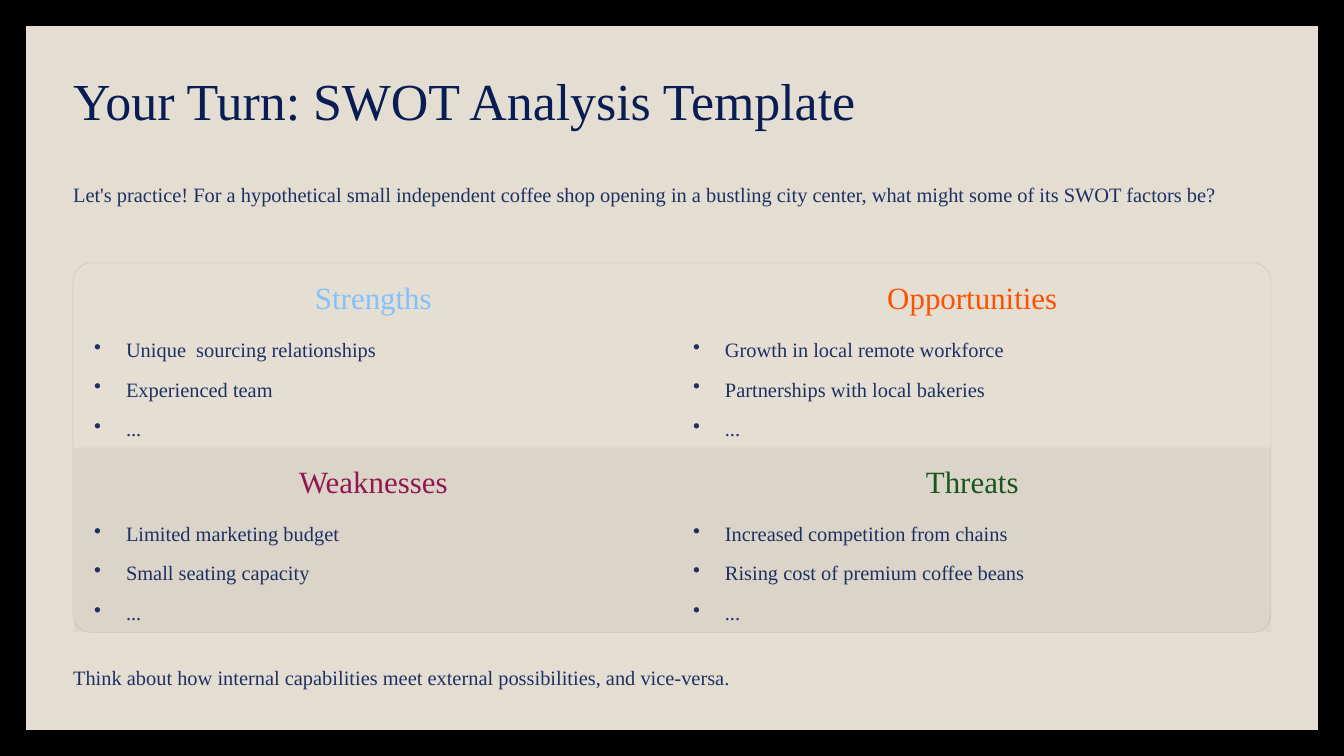
from lxml import etree
from pptx import Presentation
from pptx.dml.color import RGBColor
from pptx.enum import shapes, text
from pptx.oxml import ns
from pptx.util import Inches, Pt

FONT = "Times New Roman"
BLACK = RGBColor(0x00, 0x00, 0x00)
WHITE = RGBColor(0xFF, 0xFF, 0xFF)
CREAM = RGBColor(0xE3, 0xDE, 0xD1)
TITLE_NAVY = RGBColor(0x09, 0x1C, 0x53)
BODY_NAVY = RGBColor(0x1E, 0x30, 0x63)
SKY = RGBColor(0x84, 0xC1, 0xFA)
ORANGE = RGBColor(0xFF, 0x50, 0x00)
PLUM = RGBColor(0x92, 0x16, 0x53)
GREEN = RGBColor(0x1A, 0x56, 0x1C)

MARGIN, CONTENT_WIDTH = 0.87, 14.26
GRID_LEFT, GRID_TOP = 0.88, 3.14
COLUMN_WIDTH, ROW_HEIGHT = 7.13, 2.19
HEADING_WIDTH = 3.72

BANDS = [WHITE, BLACK]
# row, column, heading, heading colour, points
QUADRANTS = [
    (0, 0, "Strengths", SKY,
     ["Unique  sourcing relationships", "Experienced team", "..."]),
    (0, 1, "Opportunities", ORANGE,
     ["Growth in local remote workforce", "Partnerships with local bakeries", "..."]),
    (1, 0, "Weaknesses", PLUM,
     ["Limited marketing budget", "Small seating capacity", "..."]),
    (1, 1, "Threats", GREEN,
     ["Increased competition from chains", "Rising cost of premium coffee beans", "..."]),
]


def set_alpha(color_format_parent, percent):
    """Make the solid colour found under an XML element partly transparent."""
    color = color_format_parent.find(".//" + ns.qn("a:srgbClr"))
    etree.SubElement(color, ns.qn("a:alpha")).set("val", str(percent * 1000))


def add_box(slide, kind, left, top, width, height, fill=None):
    shape = slide.shapes.add_shape(
        kind, Inches(left), Inches(top), Inches(width), Inches(height))
    shape.shadow.inherit = False
    shape.line.fill.background()
    if fill is None:
        shape.fill.background()
    else:
        shape.fill.solid()
        shape.fill.fore_color.rgb = fill
    return shape


def add_bullet(paragraph):
    properties = paragraph._p.get_or_add_pPr()
    properties.set("marL", str(Inches(0.38)))
    properties.set("indent", str(-Inches(0.38)))
    etree.SubElement(properties, ns.qn("a:buChar")).set("char", "•")


def write_lines(shape, lines, size, color, spacing, bullets=False,
                align=text.PP_ALIGN.LEFT):
    frame = shape.text_frame
    frame.margin_left = frame.margin_right = 0
    frame.margin_top = frame.margin_bottom = 0
    frame.word_wrap = True
    frame.auto_size = text.MSO_AUTO_SIZE.NONE
    frame.vertical_anchor = text.MSO_ANCHOR.TOP
    frame.text = "\n".join(lines)
    for index, paragraph in enumerate(frame.paragraphs):
        if bullets:
            add_bullet(paragraph)
        paragraph.alignment = align
        paragraph.line_spacing = Pt(spacing)
        paragraph.space_before = Pt(5.34 if index else 0)
        paragraph.font.name = FONT
        paragraph.font.size = Pt(size)
        paragraph.font.color.rgb = color


def add_text(slide, left, top, width, height, lines, size=17.5,
             color=BODY_NAVY, spacing=28.5, **options):
    box = slide.shapes.add_textbox(
        Inches(left), Inches(top), Inches(width), Inches(height))
    write_lines(box, lines, size, color, spacing, **options)


def add_title(slide, wording):
    title = slide.shapes.title
    title.left, title.top = Inches(MARGIN), Inches(0.79)
    title.width, title.height = Inches(10.42), Inches(0.78)
    write_lines(title, [wording], 44.5, TITLE_NAVY, 55.5)


def add_background(slide):
    slide.background.fill.solid()
    slide.background.fill.fore_color.rgb = BLACK
    panel = add_box(slide, shapes.MSO_SHAPE.RECTANGLE, 0.31, 0.31, 15.38, 8.38, CREAM)
    slide.shapes.title.element.addprevious(panel.element)


def add_grid(slide):
    """Draw the rounded outline and one tinted band per row."""
    outline = add_box(slide, shapes.MSO_SHAPE.ROUNDED_RECTANGLE,
                      MARGIN, 3.13, CONTENT_WIDTH, 4.4)
    outline.adjustments[0] = 0.05
    outline.line.color.rgb = BLACK
    outline.line.width = Pt(0.6)
    set_alpha(outline.element.spPr.find(ns.qn("a:ln")), 8)
    for row, tint in enumerate(BANDS):
        band = add_box(slide, shapes.MSO_SHAPE.RECTANGLE, GRID_LEFT,
                       GRID_TOP + row * ROW_HEIGHT, 14.25, ROW_HEIGHT, tint)
        set_alpha(band.element.spPr, 4)


def add_quadrant(slide, row, column, heading, color, points):
    left = GRID_LEFT + column * COLUMN_WIDTH
    top = GRID_TOP + row * ROW_HEIGHT
    add_text(slide, left + (COLUMN_WIDTH - HEADING_WIDTH) / 2, top + 0.16,
             HEADING_WIDTH, 0.47, [heading], 26.5, color, 33,
             align=text.PP_ALIGN.CENTER)
    add_text(slide, left + 0.24, top + 0.77, 6.62, 1.34, points, bullets=True)


def main():
    presentation = Presentation()
    presentation.slide_width, presentation.slide_height = Inches(16), Inches(9)
    slide = presentation.slides.add_slide(presentation.slide_layouts[5])
    add_background(slide)
    add_title(slide, "Your Turn: SWOT Analysis Template")
    add_text(slide, MARGIN, 2.06, CONTENT_WIDTH, 0.79, [
        "Let's practice! For a hypothetical small independent coffee shop opening "
        "in a bustling city center, what might some of its SWOT factors be?"])
    add_grid(slide)
    for quadrant in QUADRANTS:
        add_quadrant(slide, *quadrant)
    add_text(slide, MARGIN, 7.81, CONTENT_WIDTH, 0.4, [
        "Think about how internal capabilities meet external possibilities, "
        "and vice-versa."])
    presentation.save("out.pptx")


if __name__ == "__main__":
    main()
